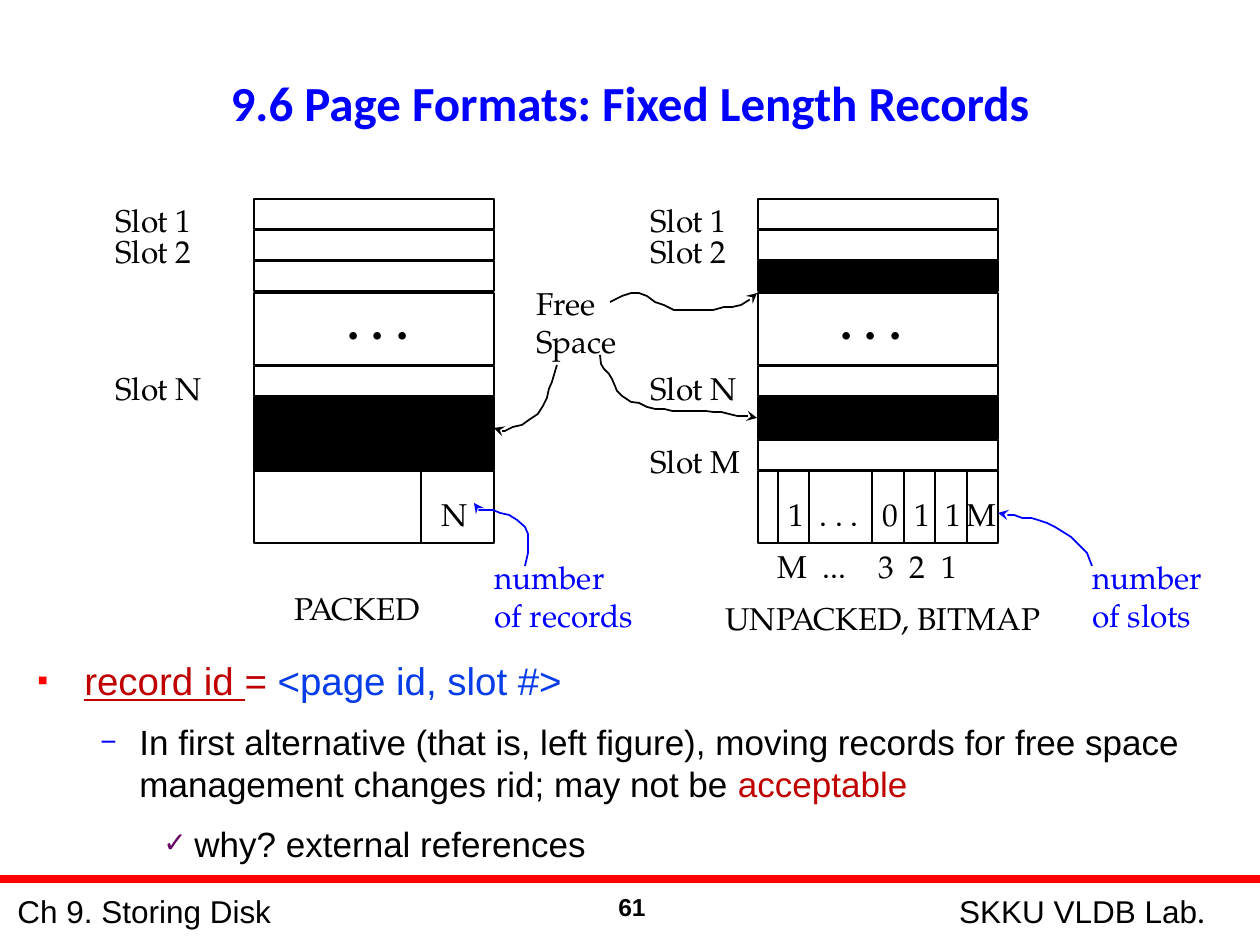
from lxml import etree
from pptx import Presentation
from pptx import util as u
from pptx.dml.color import RGBColor
from pptx.enum import shapes, text
from pptx.oxml.ns import qn

PX = 914400 / 126  # EMU in one px
BLACK = RGBColor(0x00, 0x00, 0x00)
RED = RGBColor(0xFF, 0x00, 0x00)
DARK_RED = RGBColor(0xC0, 0x00, 0x00)
BLUE = RGBColor(0x00, 0x00, 0xFF)
BRIGHT_BLUE = RGBColor(0x06, 0x3D, 0xE8)
PURPLE = RGBColor(0x66, 0x00, 0x66)

SERIF, SANS = "TeX Gyre Pagella", "Arial"
CENTER = text.PP_ALIGN.CENTER
MIDDLE = text.MSO_ANCHOR.MIDDLE

# Page rows: top, height, filled
PACKED_ROWS = [(199, 30, False), (230, 30, False), (261, 30, False), (293, 72, False),
               (366, 30, False), (397, 73, True), (471, 72, False)]
UNPACKED_ROWS = [(199, 30, False), (230, 30, False), (261, 30, True), (293, 72, False),
                 (366, 30, False), (397, 42, True), (440, 30, False), (471, 72, False)]
PAGE_WIDTH = 240
PACKED_LEFT, UNPACKED_LEFT = 254, 758
DIRECTORY_TOP, DIRECTORY_BOTTOM = 471, 544

FREE_SPACE_ARROWS = [
    [(610, 302), (622, 296), (631, 293), (639, 293), (647, 296), (655, 302), (664, 305),
     (674, 310), (713, 310), (724, 307), (732, 307), (741, 305), (749, 300), (757, 293)],
    [(600, 355), (601, 364), (604, 369), (609, 374), (612, 379), (615, 386), (617, 391),
     (622, 396), (631, 402), (639, 403), (647, 407), (655, 409), (664, 409), (672, 411),
     (705, 411), (713, 412), (721, 412), (729, 414), (737, 416), (753, 416), (757, 418)],
    [(557, 365), (552, 382), (549, 389), (547, 398), (543, 406), (538, 414), (529, 420),
     (522, 425), (513, 427), (505, 431), (496, 431), (494, 428)],
]
COUNT_ARROWS = [
    [(525, 566), (528, 553), (528, 534), (525, 527), (517, 520), (509, 515), (500, 513),
     (493, 510), (476, 510), (474, 503)],
    [(1092, 566), (1087, 553), (1080, 546), (1071, 537), (1063, 532), (1055, 527),
     (1047, 523), (1038, 520), (1031, 518), (1022, 518), (1014, 515), (1005, 515),
     (998, 513)],
]


def px(count):
    return u.Emu(round(count * PX))


def add_text(slide, left, top, width, height, paragraphs, font=SERIF, size=18, color=BLACK,
             bold=False, align=None, anchor=text.MSO_ANCHOR.TOP, wrap=False):
    """Each paragraph is a string or a list of (string, colour, underline) runs."""
    box = slide.shapes.add_textbox(px(left), px(top), px(width), px(height))
    frame = box.text_frame
    frame.word_wrap = wrap
    frame.vertical_anchor = anchor
    for index, content in enumerate(paragraphs):
        paragraph = frame.paragraphs[0] if index == 0 else frame.add_paragraph()
        paragraph.alignment = align
        runs = [(content, color, False)] if isinstance(content, str) else content
        for words, run_color, underline in runs:
            run = paragraph.add_run()
            run.text = words
            run.font.name, run.font.size, run.font.bold = font, u.Pt(size), bold
            run.font.color.rgb = run_color
            if underline:
                run.font.underline = True
    return frame


def add_line(slide, start, end, color=BLACK, width=1):
    line = slide.shapes.add_connector(shapes.MSO_CONNECTOR.STRAIGHT, *map(px, start + end))
    line.line.color.rgb = color
    line.line.width = u.Pt(width)
    etree.SubElement(line._element.spPr, qn("a:effectLst"))


def add_page(slide, left, rows, dividers):
    for top, height, filled in rows:
        row = slide.shapes.add_shape(shapes.MSO_SHAPE.RECTANGLE, px(left), px(top),
                                     px(PAGE_WIDTH), px(height))
        row.shadow.inherit = False
        row.line.color.rgb = BLACK
        row.line.width = u.Pt(1)
        if filled:
            row.fill.solid()
            row.fill.fore_color.rgb = BLACK
        else:
            row.fill.background()
    for x in dividers:
        add_line(slide, (x, DIRECTORY_TOP), (x, DIRECTORY_BOTTOM))


def add_curved_arrow(slide, points, color):
    builder = slide.shapes.build_freeform(*points[0], scale=PX)
    builder.add_line_segments(points[1:], close=False)
    arrow = builder.convert_to_shape()
    arrow.shadow.inherit = False
    arrow.fill.background()
    arrow.line.color.rgb = color
    arrow.line.width = u.Pt(1)
    etree.SubElement(arrow.line._get_or_add_ln(), qn("a:tailEnd"), type="stealth")


def set_tabs(paragraph, stops):
    tabs = etree.SubElement(paragraph._p.get_or_add_pPr(), qn("a:tabLst"))
    for stop in stops:
        etree.SubElement(tabs, qn("a:tab"), pos=str(px(stop)), algn="l")


def set_bullet(paragraph, mark, color, margin, hang):
    properties = paragraph._p.get_or_add_pPr()
    properties.set("marL", str(px(margin)))
    properties.set("indent", str(-px(hang)))
    bullet_color = etree.SubElement(properties, qn("a:buClr"))
    etree.SubElement(bullet_color, qn("a:srgbClr"), val=str(color))
    etree.SubElement(properties, qn("a:buSzPct"), val="80000")
    etree.SubElement(properties, qn("a:buFont"), typeface=SANS)
    etree.SubElement(properties, qn("a:buChar"), char=mark)


def add_notes_on_rid(slide):
    frame = add_text(slide, 25, 651, 1201, 159, [
        [("record id ", DARK_RED, True), ("= ", DARK_RED, False),
         ("<page id, slot #>", BRIGHT_BLUE, False)],
        [("In first alternative (that is, left figure), moving records for free space "
          "management changes rid; may not be ", BLACK, False),
         ("acceptable", DARK_RED, False)],
        "why? external references",
    ], font=SANS, size=20, wrap=True)
    bullets = [("▪", RED, 47, 47), ("−", BLUE, 102, 39), ("✓", PURPLE, 157, 31)]
    for level, (paragraph, bullet) in enumerate(zip(frame.paragraphs, bullets)):
        paragraph.level = level
        if level:
            paragraph.space_before = u.Pt(10)
        set_bullet(paragraph, *bullet)
    for run in frame.paragraphs[0].runs:
        run.font.size = u.Pt(22)


def add_footer(slide):
    add_line(slide, (0, 879), (1260, 879), RED, 4.5)
    add_text(slide, 501, 886, 262, 63, ["61"], font=SANS, size=14, bold=True,
             align=CENTER, wrap=True)
    add_text(slide, 5, 879, 340, 63, ["Ch 9. Storing Disk"], font=SANS, anchor=MIDDLE,
             wrap=True)
    lab = add_text(slide, 903, 879, 358, 63,
                   [[("SKKU VLDB Lab", BLACK, False), (".", BLACK, False)]],
                   font=SANS, align=CENTER, anchor=MIDDLE)
    lab.paragraphs[0].runs[1].font.name = "Lato"


def main():
    deck = Presentation()
    deck.slide_width, deck.slide_height = px(1260), px(945)
    slide = deck.slides.add_slide(deck.slide_layouts[6])

    add_footer(slide)
    add_text(slide, 63, 9, 1134, 186, ["9.6 Page Formats: Fixed Length Records"],
             font="Calibri", size=28, color=BLUE, bold=True, align=CENTER,
             anchor=MIDDLE, wrap=True)

    # The two pages
    add_page(slide, PACKED_LEFT, PACKED_ROWS, [421])
    add_page(slide, UNPACKED_LEFT, UNPACKED_ROWS, [778, 809, 872, 904, 935, 967])
    for left in (335, 828):
        add_text(slide, left, 284, 100, 71, [". . ."], size=28, bold=True, wrap=True)

    # Slot labels beside each page
    slots = [("Slot 1", 195), ("Slot 2", 226), ("Slot N", 363)]
    for left in (103, 638):
        for label, top in slots:
            add_text(slide, left, top, 130, 50, [label], wrap=True)
    add_text(slide, 638, 436, 130, 50, ["Slot M"], wrap=True)

    # Directory entries and bit positions
    entries = [("N", 429), ("1", 776), (". . .", 807), ("0", 870), ("1", 902),
               ("1", 933), ("M", 954)]
    for entry, left in entries:
        add_text(slide, left, 489, 80, 50, [entry], wrap=True)
    positions = add_text(slide, 765, 541, 220, 50, ["M\t...\t3\t2\t1"], wrap=True)
    set_tabs(positions.paragraphs[0], [45, 101, 132, 164])

    # Captions and callouts
    add_text(slide, 282, 583, 180, 50, ["PACKED"], wrap=True)
    add_text(slide, 713, 593, 370, 50, ["UNPACKED, BITMAP"], wrap=True)
    add_text(slide, 524, 278, 120, 88, ["Free", "Space"], wrap=True)
    add_text(slide, 482, 552, 180, 88, ["number", "of records"], color=BLUE, wrap=True)
    add_text(slide, 1080, 552, 160, 88, ["number", "of slots"], color=BLUE, wrap=True)
    for points in FREE_SPACE_ARROWS:
        add_curved_arrow(slide, points, BLACK)
    for points in COUNT_ARROWS:
        add_curved_arrow(slide, points, BLUE)

    add_notes_on_rid(slide)
    deck.save("out.pptx")


if __name__ == "__main__":
    main()
